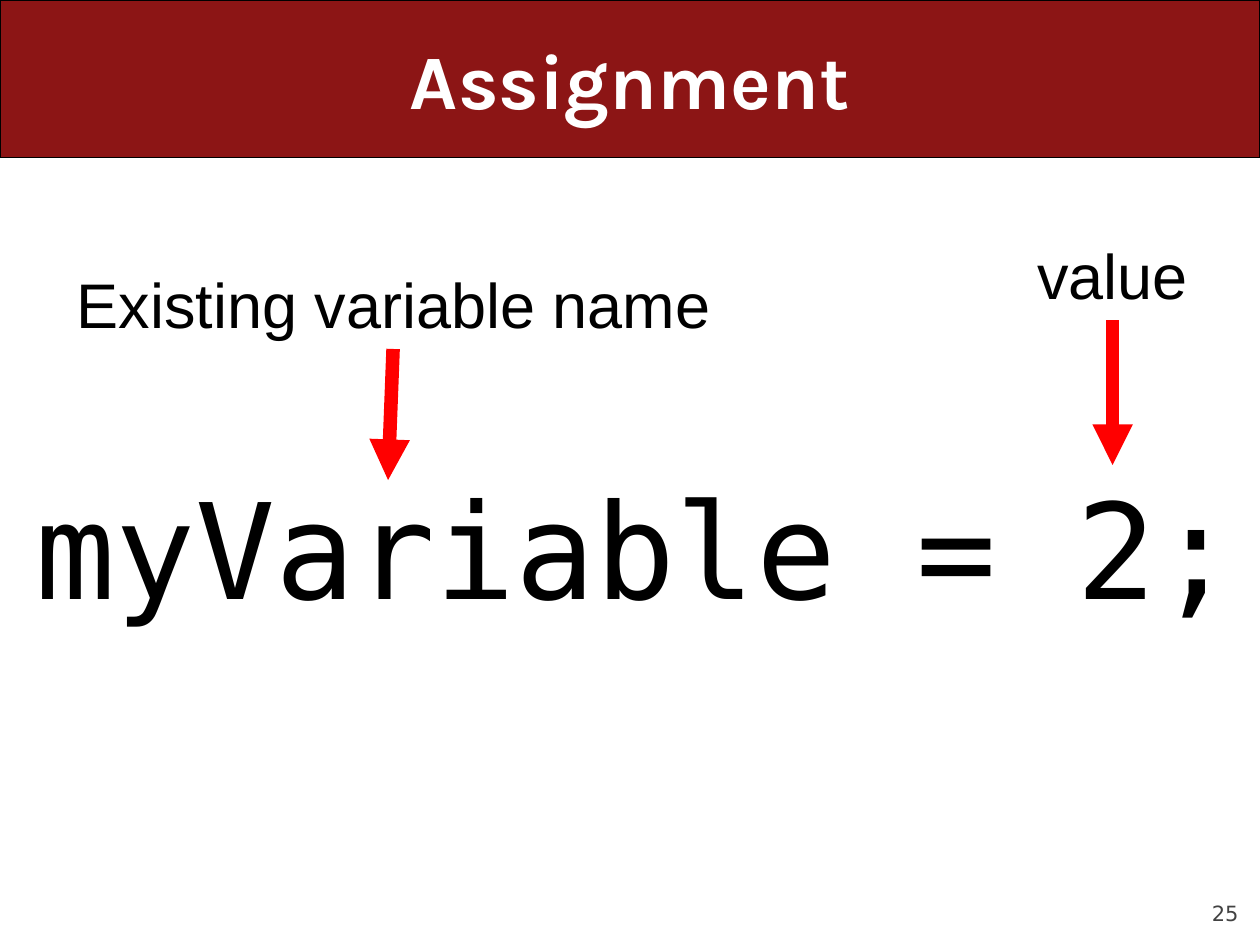
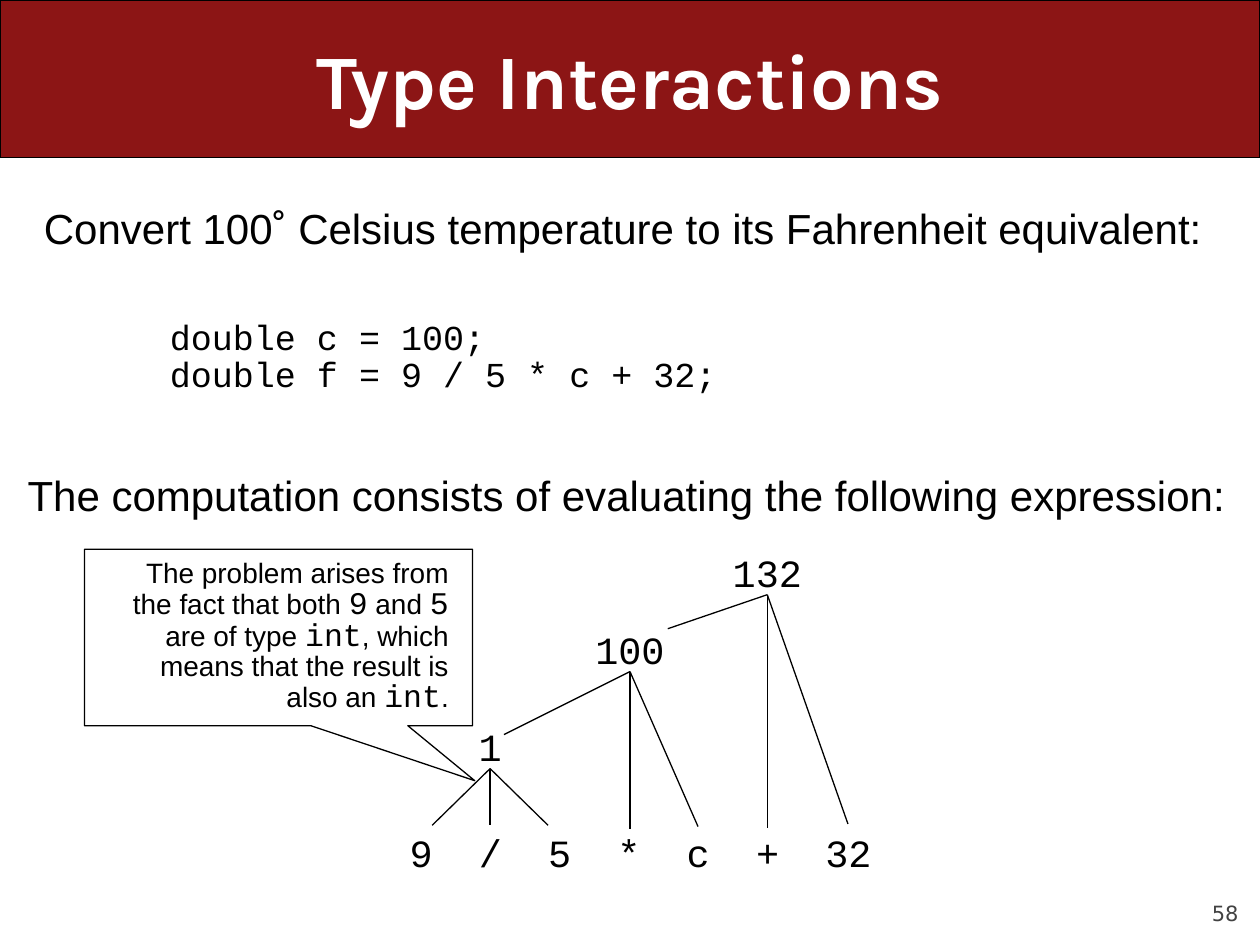
"""Build two lecture slides on variable assignment and type interactions."""
from lxml import etree
from pptx import Presentation
from pptx.dml.color import RGBColor
from pptx.enum.shapes import MSO_CONNECTOR, MSO_SHAPE
from pptx.enum.text import MSO_ANCHOR, PP_ALIGN
from pptx.oxml.ns import qn
from pptx.util import Inches, Pt

LEFT, CENTER, RIGHT = PP_ALIGN.LEFT, PP_ALIGN.CENTER, PP_ALIGN.RIGHT
TOP, MIDDLE, BOTTOM = MSO_ANCHOR.TOP, MSO_ANCHOR.MIDDLE, MSO_ANCHOR.BOTTOM
STRAIGHT = MSO_CONNECTOR.STRAIGHT
RECTANGLE, CALLOUT = MSO_SHAPE.RECTANGLE, MSO_SHAPE.RECTANGULAR_CALLOUT

CARDINAL, RED, BLACK, WHITE, GRAY = "8C1515", "FF0000", "000000", "FFFFFF", "424242"
SANS, CODE, TITLE_FONT = "Arial", "Courier New", "Karla"
NUMBER_FONT, STATEMENT_FONT = "DejaVu Sans", "DejaVu Sans Mono"
INSETS = (0.1, 0.05, 0.1, 0.05)
THIN = 0.75

ASSIGNMENT = {
    "title": "Assignment",
    "number": "25",
    "statement": "myVariable = 2;",
    "labels": [
        ("Existing variable name", (0.5, 2.06, 5.25, 0.71), (3.12, 2.77), (3.08, 3.81)),
        ("value", (8.08, 1.83, 1.5, 0.71), (8.83, 2.54), (8.83, 3.69)),
    ],
}

INTERACTIONS = {
    "title": "Type Interactions",
    "number": "58",
    "sentences": [
        ("Convert 100˚ Celsius temperature to its Fahrenheit equivalent:",
         (0.25, 1.6, 9.5, 0.46)),
        ("The computation consists of evaluating the following expression:",
         (0.12, 3.72, 9.75, 0.46)),
    ],
    "code": ["double c = 100;", "double f = 9 / 5 * c + 32;"],
    "warning": [
        ("The problem arises from the fact that both ", SANS), ("9", CODE),
        (" and ", SANS), ("5", CODE), (" are of type ", SANS), ("int", CODE),
        (", which means that the result is also an ", SANS), ("int", CODE), (".", SANS),
    ],
    "warning_sizes": {SANS: 16, CODE: 18},
    "tokens": ["9", "/", "5", "*", "c", "+", "32"],
    "results": [
        ("1", (3.89, 6.1), 0.5, [(3.43, 6.55), (3.89, 6.55), (4.35, 6.55)]),
        ("100", (5, 5.33), 0.77, [(4, 5.83), (5, 6.58), (5.54, 6.56)]),
        ("132", (6.09, 4.72), 0.77, [(5.3, 4.99), (6.09, 6.57), (6.73, 6.54)]),
    ],
}
TOKEN_BOX = (1.16, 6.57, 7.85, 0.43)
TOKEN_START, TOKEN_PITCH = 2.09, 0.55
RESULT_HEIGHT, RESULT_RISE = 0.43, 0.37


def color(hex_value):
    return RGBColor.from_string(hex_value)


def inches(values):
    return [Inches(value) for value in values]


def add_text(slide, box, paragraphs, font=SANS, size=24, ink=BLACK, bold=False,
             align=LEFT, anchor=TOP, insets=INSETS, spacing=None, sizes=None, tabs=()):
    if isinstance(paragraphs, str):
        paragraphs = [paragraphs]
    frame = slide.shapes.add_textbox(*inches(box)).text_frame
    frame.word_wrap = True
    frame.vertical_anchor = anchor
    (frame.margin_left, frame.margin_top,
     frame.margin_right, frame.margin_bottom) = inches(insets)
    for index, content in enumerate(paragraphs):
        paragraph = frame.paragraphs[0] if index == 0 else frame.add_paragraph()
        paragraph.alignment = align
        if spacing:
            paragraph.line_spacing = spacing
        if tabs:
            stops = etree.SubElement(paragraph._p.get_or_add_pPr(), qn("a:tabLst"))
            for position in tabs:
                etree.SubElement(stops, qn("a:tab"), pos=str(Inches(position)), algn="l")
        runs = [(content, font)] if isinstance(content, str) else content
        for words, face in runs:
            run = paragraph.add_run()
            run.text = words
            run.font.name = face
            run.font.size = Pt(sizes[face] if sizes else size)
            run.font.bold = bold
            run.font.color.rgb = color(ink)


def add_panel(slide, kind, box, fill):
    panel = slide.shapes.add_shape(kind, *inches(box))
    panel.shadow.inherit = False
    panel.fill.solid()
    panel.fill.fore_color.rgb = color(fill)
    panel.line.color.rgb = color(BLACK)
    panel.line.width = Pt(THIN)
    return panel


def add_line(slide, start, end, ink=BLACK, width=THIN, arrow=False):
    line = slide.shapes.add_connector(STRAIGHT, *inches(start + end))
    line.line.color.rgb = color(ink)
    line.line.width = Pt(width)
    if arrow:
        etree.SubElement(line.line._get_or_add_ln(), qn("a:tailEnd"), type="triangle")
    etree.SubElement(line._element.spPr, qn("a:effectLst"))


def add_base(deck, content):
    slide = deck.slides.add_slide(deck.slide_layouts[6])
    add_text(slide, (9, 6.95, 0.83, 0.4), content["number"], font=NUMBER_FONT, size=12,
             ink=GRAY, align=RIGHT, anchor=BOTTOM, insets=(0, 0, 0, 0))
    add_panel(slide, RECTANGLE, (0, 0, 10, 1.25), CARDINAL)
    add_text(slide, (0.5, 0, 9, 1.25), content["title"], font=TITLE_FONT, size=44,
             ink=WHITE, bold=True, align=CENTER, anchor=MIDDLE)
    return slide


def build_assignment(deck):
    slide = add_base(deck, ASSIGNMENT)
    add_text(slide, (0.17, 3.58, 9.75, 1.75), ASSIGNMENT["statement"],
             font=STATEMENT_FONT, size=76, align=CENTER, insets=(0.1, 0.12, 0.1, 0.05))
    for label, box, start, end in ASSIGNMENT["labels"]:
        add_text(slide, box, label, size=36, align=CENTER)
        add_line(slide, start, end, ink=RED, width=7.75, arrow=True)


def build_interactions(deck):
    slide = add_base(deck, INTERACTIONS)
    for sentence, box in INTERACTIONS["sentences"]:
        add_text(slide, box, sentence, spacing=0.9)
    add_text(slide, (1.25, 2.49, 8, 0.7), INTERACTIONS["code"], font=CODE, size=20,
             spacing=0.9)

    callout = add_panel(slide, CALLOUT, (0.67, 4.36, 3.08, 1.4), WHITE)
    callout.adjustments[0], callout.adjustments[1] = 0.506, 0.812
    add_text(slide, (0.83, 4.4, 2.83, 1.31), [INTERACTIONS["warning"]], align=RIGHT,
             spacing=0.85, sizes=INTERACTIONS["warning_sizes"])

    tokens = INTERACTIONS["tokens"]
    add_text(slide, TOKEN_BOX, "\t".join(tokens), font=CODE, size=22, spacing=0.9,
             insets=(TOKEN_START, 0.05, 0.1, 0.05),
             tabs=[TOKEN_PITCH * step for step in range(1, len(tokens))])
    for result, apex, width, operands in INTERACTIONS["results"]:
        for operand in operands:
            add_line(slide, apex, operand)
        x, y = apex
        add_text(slide, (x - width / 2, y - RESULT_RISE, width, RESULT_HEIGHT), result,
                 font=CODE, size=22, align=CENTER, spacing=0.9)


def main():
    deck = Presentation()
    deck.slide_width, deck.slide_height = inches((10, 7.5))
    build_assignment(deck)
    build_interactions(deck)
    deck.save("out.pptx")


if __name__ == "__main__":
    main()
